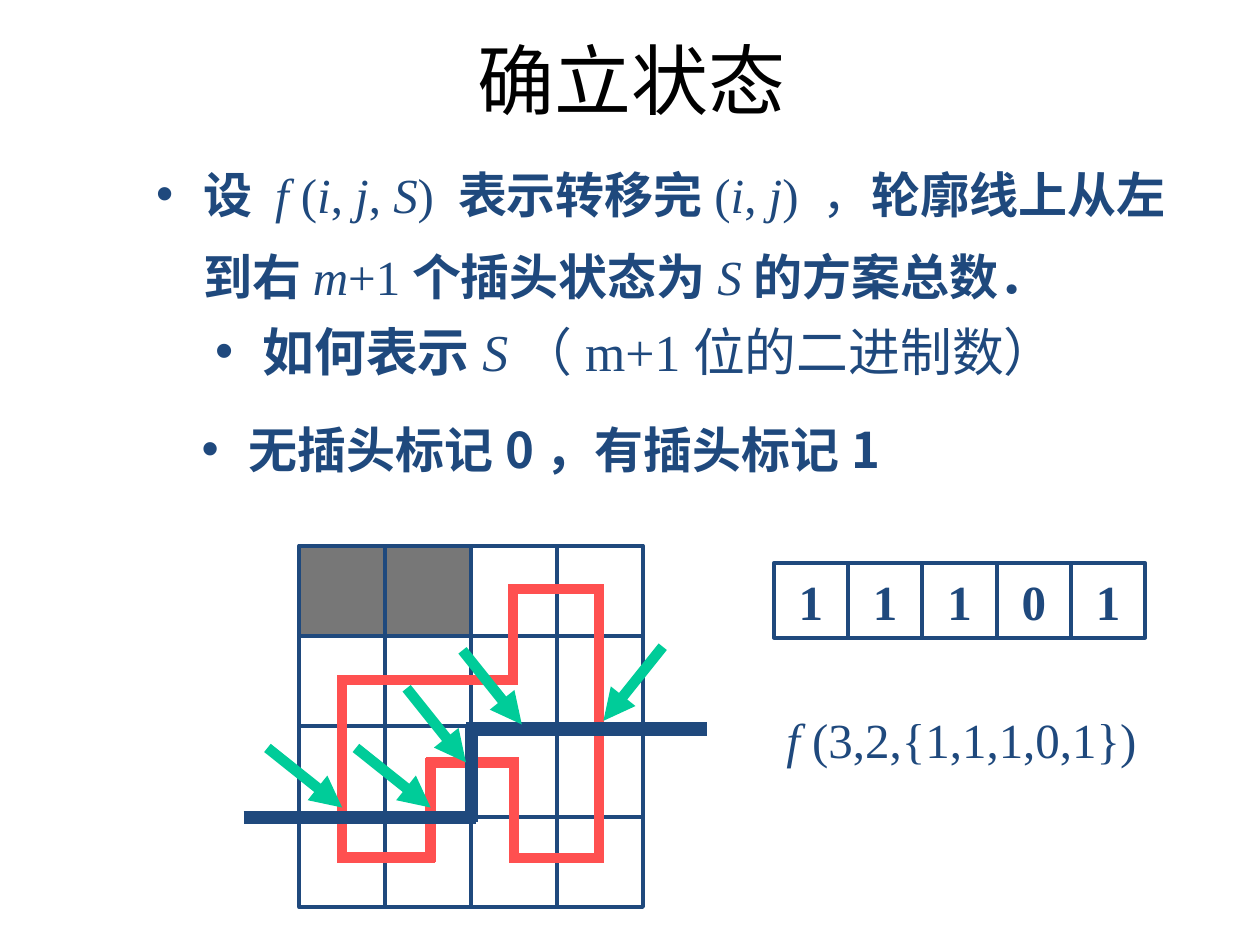
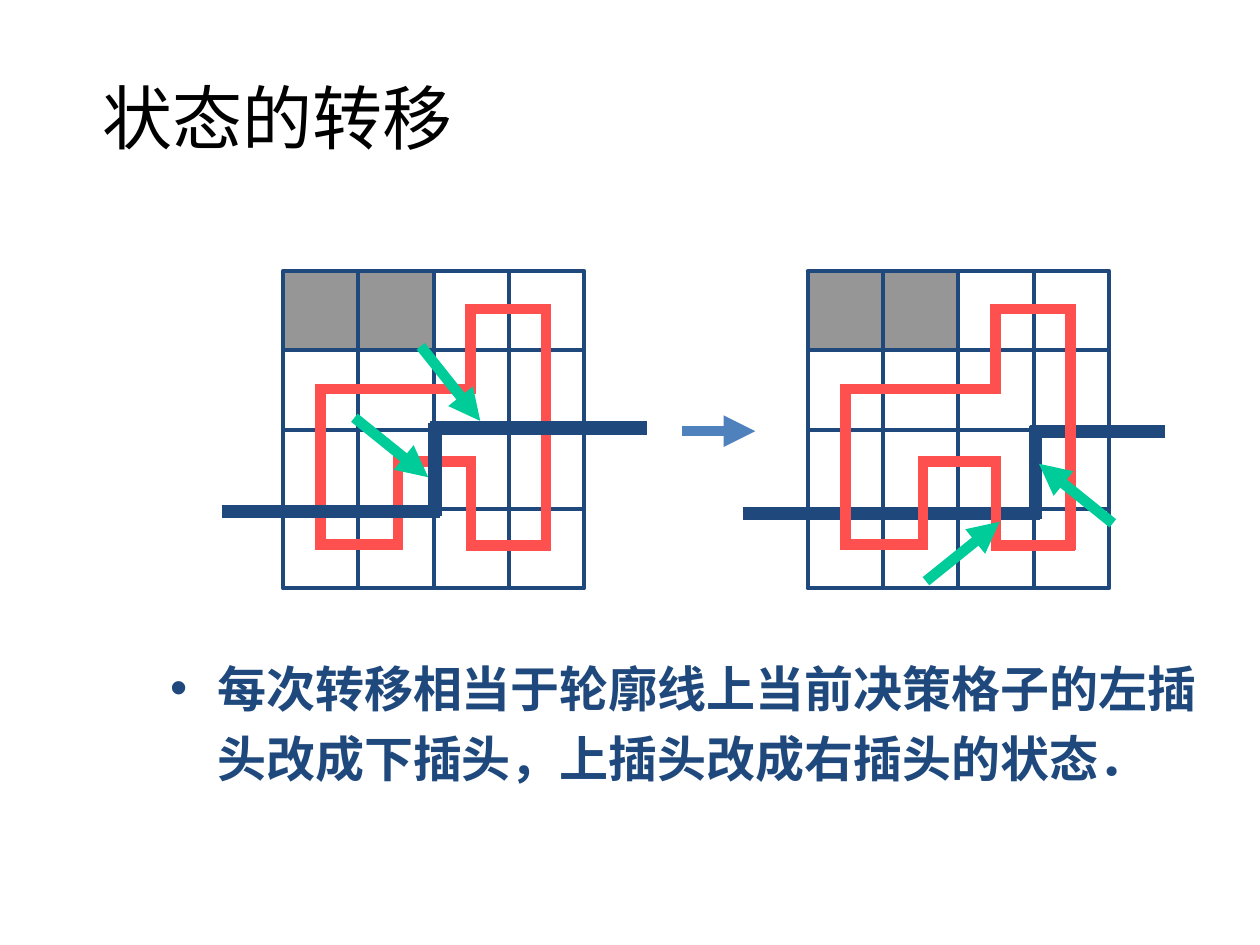
import dataclasses
import itertools
import typing

import pptx
import pptx.dml.color
import pptx.enum.shapes
import pptx.enum.text
import pptx.oxml
import pptx.oxml.ns
import pptx.util

COLORS = {
    "title": "000000",
    "ink": "1F497D",
    "loop": "FF5050",
    "plug": "00CC99",
    "step": "4F81BD",
    "blocked": "777777",
    "blocked_light": "969696",
}
SERIF, SANS, CJK = "Times New Roman", "Calibri", "Noto Sans CJK SC"
ALIGN = pptx.enum.text.PP_ALIGN
ANCHOR = pptx.enum.text.MSO_ANCHOR
WIDTH, HEIGHT = pptx.util.Inches(10), pptx.util.Inches(7.5)
UNIT = WIDTH / 100
JOINT = 0.38

Point = tuple[float, float]
Runs = typing.Union[str, list[tuple[str, str]]]


@dataclasses.dataclass(frozen=True)
class Grid:
    left: float
    top: float
    col: float
    row: float

    def at(self, point: Point) -> Point:
        return self.left + point[0] * self.col, self.top + point[1] * self.row


@dataclasses.dataclass(frozen=True)
class Box:
    left: float
    top: float
    width: float
    height: float

    def emu(self) -> list[int]:
        return [round(v * UNIT) for v in (self.left, self.top, self.width, self.height)]


@dataclasses.dataclass(frozen=True)
class Plug:
    tip: Point
    reach: Point

    def ends(self) -> tuple[Point, Point]:
        return (self.tip[0] - self.reach[0], self.tip[1] - self.reach[1]), self.tip


LOOP = [
    (0.5, 1.49), (2.49, 1.49), (2.49, 0.48), (3.49, 0.48), (3.49, 3.46),
    (2.5, 3.46), (2.5, 2.4), (1.53, 2.4), (1.53, 3.45), (0.5, 3.45), (0.5, 1.49),
]


def rgb(name: str) -> pptx.dml.color.RGBColor:
    return pptx.dml.color.RGBColor.from_string(COLORS[name])


def child(parent, tag: str, **attrs: str):
    node = parent.makeelement(pptx.oxml.ns.qn(tag), attrs)
    parent.append(node)
    return node


def write(tf, runs: Runs, size: float = 28, font: str = SERIF, color: str = "ink",
          style: str = "", align=ALIGN.LEFT, anchor=ANCHOR.TOP,
          bullet: bool = False, spacing: float = 1.0) -> None:
    tf.word_wrap = True
    tf.auto_size = pptx.enum.text.MSO_AUTO_SIZE.NONE
    tf.vertical_anchor = anchor
    p = tf.paragraphs[0]
    p.alignment = align
    p.line_spacing = spacing
    p.space_before = pptx.util.Pt(0)
    if bullet:
        ppr = p._p.get_or_add_pPr()
        indent = round(3.75 * UNIT)
        ppr.set("marL", str(indent))
        ppr.set("indent", str(-indent))
        child(child(ppr, "a:buClr"), "a:srgbClr", val=COLORS["ink"])
        child(ppr, "a:buFont", typeface="Arial")
        child(ppr, "a:buChar", char="•")
    for text, look in [(runs, style)] if isinstance(runs, str) else runs:
        r = p.add_run()
        r.text = text
        r.font.size = pptx.util.Pt(size)
        r.font.name = font
        r.font.bold = "b" in look
        r.font.italic = "i" in look
        r.font.color.rgb = rgb(color)
        child(r._r.get_or_add_rPr(), "a:ea", typeface=CJK)


def place(sp, box: Box):
    sp.left, sp.top, sp.width, sp.height = box.emu()
    return sp.text_frame


def add_text(s, box: Box, runs: Runs, **look) -> None:
    write(s.shapes.add_textbox(*box.emu()).text_frame, runs, **look)


def add_slide(prs, title: str, title_box: Box, title_size: float,
              body: str, body_box: Box, **look):
    s = prs.slides.add_slide(prs.slide_layouts[1])
    write(place(s.shapes.title, title_box), title, size=title_size, font=SANS,
          color="title", align=ALIGN.CENTER, anchor=ANCHOR.MIDDLE)
    write(place(s.placeholders[1], body_box), body, style="b", bullet=True, **look)
    return s


def add_cell(s, grid: Grid, col: int, row: int, fill: str = "", text: str = "") -> None:
    box = Box(*grid.at((col, row)), grid.col, grid.row)
    sp = s.shapes.add_shape(pptx.enum.shapes.MSO_SHAPE.RECTANGLE, *box.emu())
    sp.shadow.inherit = False
    sp.line.color.rgb = rgb("ink")
    sp.line.width = pptx.util.Pt(2.25)
    if fill:
        sp.fill.solid()
        sp.fill.fore_color.rgb = rgb(fill)
    else:
        sp.fill.background()
    if text:
        write(sp.text_frame, text, style="b", align=ALIGN.CENTER, anchor=ANCHOR.MIDDLE)


def add_line(s, start: Point, end: Point, color: str, width: float,
             arrow: bool = False) -> None:
    ends = [round(v * UNIT) for v in (*start, *end)]
    c = s.shapes.add_connector(pptx.enum.shapes.MSO_CONNECTOR.STRAIGHT, *ends)
    c.line.color.rgb = rgb(color)
    c.line.width = pptx.util.Pt(width)
    sppr = c._element.spPr
    if arrow:
        child(sppr.find(pptx.oxml.ns.qn("a:ln")), "a:tailEnd", type="triangle")
    child(sppr, "a:effectLst")


def add_route(s, grid: Grid, corners: list[Point], color: str, width: float) -> None:
    for a, b in itertools.pairwise(map(grid.at, corners)):
        length = abs(b[0] - a[0]) + abs(b[1] - a[1])
        dx, dy = ((b[i] - a[i]) / length * JOINT for i in (0, 1))
        add_line(s, (a[0] - dx, a[1] - dy), (b[0] + dx, b[1] + dy), color, width)


def add_board(s, grid: Grid, blocked: str) -> None:
    for row, col in itertools.product(range(4), repeat=2):
        add_cell(s, grid, col, row, blocked if row == 0 and col < 2 else "")
    add_route(s, grid, LOOP, "loop", 6)


def add_contour(s, grid: Grid, start: float, turn: float, end: float,
                low: float, high: float) -> None:
    corners = [(start, low), (turn, low), (turn, high), (end, high)]
    add_route(s, grid, corners, "ink", 7.5)


def add_arrow(s, grid: Grid, start: Point, end: Point, color: str = "plug") -> None:
    add_line(s, grid.at(start), grid.at(end), color, 6, arrow=True)


def add_plugs(s, grid: Grid, plugs: list[Plug]) -> None:
    for plug in plugs:
        add_arrow(s, grid, *plug.ends())


def build_state(prs) -> None:
    s = add_slide(prs, "确立状态", Box(5.1, 0, 90, 12.5), 44,
                  "无插头标记0，有插头标记1", Box(15, 32.8, 85, 6.7), font=CJK)
    add_text(s, Box(11.4, 10.7, 83.3, 14.9), [
        ("设 ", "b"), ("f ", "i"), ("(", ""), ("i", "i"), (", ", ""), ("j", "i"),
        (", ", ""), ("S", "i"), (") ", ""), ("表示转移完", "b"), ("(", ""),
        ("i", "i"), (", ", ""), ("j", "i"), (") ，", ""), ("轮廓线上从左到右", "b"),
        ("m", "i"), ("+1", ""), ("个插头状态为", "b"), ("S", "i"), ("的方案总数．", "b"),
    ], bullet=True, spacing=1.4)
    add_text(s, Box(16.1, 24.9, 70.9, 7.5), [
        ("如何表示", "b"), ("S", "i"), ("（m+1位的二进制数）", ""),
    ], size=29.6, bullet=True)

    bits = Grid(61.4, 44.7, 5.9, 5.9)
    for col, bit in enumerate("11101"):
        add_cell(s, bits, col, 0, text=bit)
    add_text(s, Box(59.2, 55.8, 34.2, 5.7), [("f ", "i"), ("(3,2,{1,1,1,0,1})", "")],
             align=ALIGN.CENTER)

    board = Grid(23.75, 43.3, 6.82, 7.17)
    add_board(s, board, "blocked")
    add_contour(s, board, -0.59, 2, 4.69, low=3.01, high=2.03)
    flat, steep = (0.87, 0.66), (0.69, 0.82)
    add_plugs(s, board, [
        Plug((0.5, 2.9), flat), Plug((1.53, 2.9), flat),
        Plug((1.94, 2.4), steep), Plug((2.59, 1.98), steep),
        Plug((3.54, 1.94), (-0.69, 0.82)),
    ])


def build_transfer(prs) -> None:
    s = add_slide(prs, "状态的转移", Box(5, 3, 34.1, 12.5), 40,
                  "每次转移相当于轮廓线上当前决策格子的左插头改成下插头，"
                  "上插头改成右插头的状态．",
                  Box(12.5, 50.8, 85, 12.5), font=SANS, spacing=1.2)
    before = Grid(22.45, 21.5, 5.98, 6.3)
    after = dataclasses.replace(before, left=64.1)
    add_board(s, before, "blocked_light")
    add_contour(s, before, -0.75, 2.02, 4.77, low=3.03, high=1.98)
    add_arrow(s, before, (5.3, 2.02), (6.27, 2.02), "step")
    add_contour(s, after, -0.8, 3.02, 4.68, low=3.06, high=2.02)
    add_board(s, after, "blocked_light")
    add_plugs(s, before, [Plug((1.93, 2.6), (0.98, 0.75)), Plug((2.62, 1.89), (0.79, 0.94))])
    add_plugs(s, after, [Plug((3.07, 2.43), (-0.98, -0.75)), Plug((2.55, 3.16), (0.98, -0.75))])


def main() -> None:
    prs = pptx.Presentation()
    prs.slide_width, prs.slide_height = WIDTH, HEIGHT
    build_state(prs)
    build_transfer(prs)
    prs.save("out.pptx")


if __name__ == "__main__":
    main()
